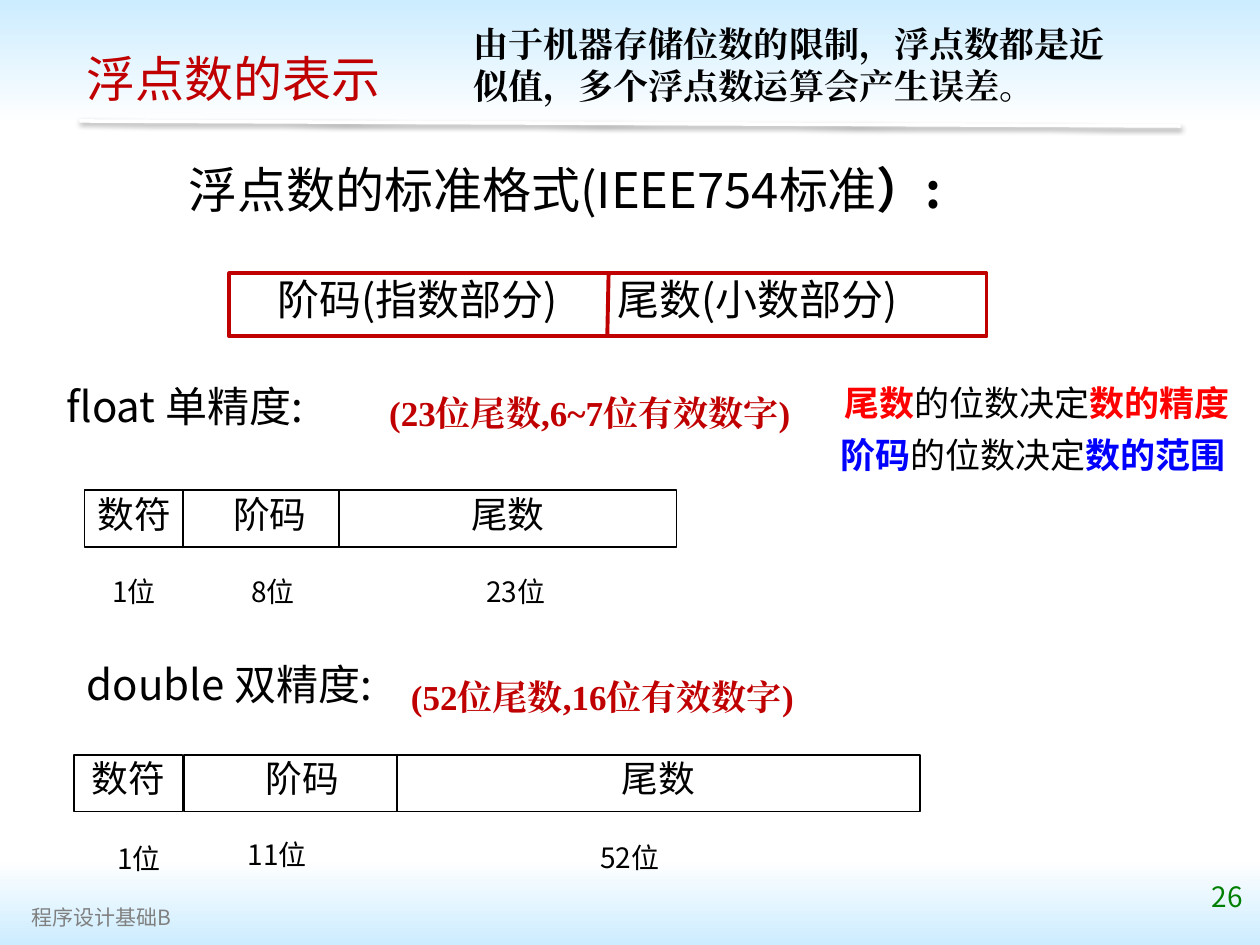
"""Build the slide on the floating-point storage formats."""
from dataclasses import dataclass

from lxml.etree import SubElement
from pptx import Presentation
from pptx.dml.color import RGBColor
from pptx.enum.shapes import MSO_CONNECTOR, MSO_SHAPE
from pptx.enum.text import MSO_ANCHOR, MSO_AUTO_SIZE, PP_ALIGN
from pptx.oxml.ns import qn
from pptx.util import Inches, Pt

SANS, SERIF = "Noto Sans CJK SC", "Times New Roman"
BLACK = RGBColor(0x00, 0x00, 0x00)
WHITE = RGBColor(0xFF, 0xFF, 0xFF)
SKY = RGBColor(0xCC, 0xEC, 0xFF)
CRIMSON = RGBColor(0xC0, 0x00, 0x00)
RED = RGBColor(0xFF, 0x00, 0x00)
BLUE = RGBColor(0x00, 0x00, 0xFF)
GREEN = RGBColor(0x00, 0x80, 0x00)
GRAY = RGBColor(0x80, 0x80, 0x80)


@dataclass
class Style:
    size: float
    color: RGBColor = BLACK
    font: str = SANS
    bold: bool = False
    align: PP_ALIGN = PP_ALIGN.CENTER


@dataclass
class Caption:
    text: str
    box: tuple[float, float, float, float]
    style: Style


@dataclass
class Field:
    name: str
    left: float
    width: float
    bits: str
    bits_box: tuple[float, float, float, float]
    shift: float = 0


def style_run(run, style: Style) -> None:
    """Apply a style to one run, East Asian typeface included."""
    run.font.size = Pt(style.size)
    run.font.bold = style.bold
    run.font.color.rgb = style.color
    run.font.name = style.font
    SubElement(run.font._element, qn("a:ea"), typeface=style.font)


def style_paragraph(paragraph, style: Style) -> None:
    """Apply alignment, line spacing and run formatting."""
    paragraph.alignment = style.align
    if style.font == SANS:
        paragraph.line_spacing = 0.9
    for run in paragraph.runs:
        style_run(run, style)


def set_text(shape, text: str, style: Style) -> None:
    """Fill a shape with one styled paragraph from its top edge."""
    frame = shape.text_frame
    frame.word_wrap = True
    frame.auto_size = MSO_AUTO_SIZE.NONE
    frame.vertical_anchor = MSO_ANCHOR.TOP
    frame.text = text
    style_paragraph(frame.paragraphs[0], style)


def add_caption(shapes, caption: Caption):
    """Add a text box holding a caption."""
    textbox = shapes.add_textbox(*map(Inches, caption.box))
    set_text(textbox, caption.text, caption.style)
    return textbox


def add_rectangle(shapes, box: tuple[float, float, float, float]):
    """Add a rectangle without shadow."""
    rectangle = shapes.add_shape(MSO_SHAPE.RECTANGLE, *map(Inches, box))
    rectangle.shadow.inherit = False
    return rectangle


def add_band(shapes, top: float, height: float, colors: tuple) -> None:
    """Add a full-width band fading from top to bottom."""
    band = add_rectangle(shapes, (0, top, 10, height))
    band.line.fill.background()
    band.fill.gradient()
    band.fill.gradient_angle = 270
    for stop, color, position in zip(band.fill.gradient_stops, colors, (0, 1)):
        stop.color.rgb = color
        stop.position = position


def add_line(shapes, start: tuple, end: tuple, color: RGBColor, width: float):
    """Add a straight line and return its empty effect list."""
    line = shapes.add_connector(MSO_CONNECTOR.STRAIGHT, *map(Inches, start + end))
    line.line.color.rgb = color
    line.line.width = Pt(width)
    return SubElement(line.element.spPr, qn("a:effectLst"))


def add_layout(shapes, top: float, fields: list[Field]) -> None:
    """Draw the fields of a number format with their bit counts."""
    for field in fields:
        cell = add_rectangle(shapes, (field.left, top, field.width, 0.45))
        cell.fill.solid()
        cell.fill.fore_color.rgb = WHITE
        cell.line.color.rgb = BLACK
        cell.line.width = Pt(1)
        set_text(cell, field.name, Style(21))
        cell.text_frame.margin_left = Inches(0.1 + field.shift)
        add_caption(shapes, Caption(field.bits, field.bits_box, Style(16)))


def add_format_box(shapes) -> None:
    """Draw the exponent and mantissa box with its divider."""
    format_box = add_rectangle(shapes, (1.82, 2.17, 6.01, 0.5))
    format_box.fill.background()
    format_box.line.color.rgb = CRIMSON
    format_box.line.width = Pt(2.25)
    set_text(format_box, "阶码(指数部分)\t尾数(小数部分)", Style(24, align=PP_ALIGN.LEFT))
    format_box.text_frame.margin_left = Inches(0.38)
    properties = format_box.text_frame.paragraphs[0]._p.get_or_add_pPr()
    tabs = SubElement(properties, qn("a:tabLst"))
    SubElement(tabs, qn("a:tab"), pos=str(Inches(2.7)), algn="l")
    add_line(shapes, (4.83, 2.18), (4.82, 2.67), CRIMSON, 2.25)


def add_rules(shapes) -> None:
    """Add the two statements on precision and range."""
    frame = shapes.add_textbox(*map(Inches, (6.46, 3.02, 3.54, 0.95))).text_frame
    frame.word_wrap = True
    rules = [("尾数", "数的精度", RED), ("阶码", "数的范围 ", BLUE)]
    for index, (part, effect, color) in enumerate(rules):
        paragraph = frame.add_paragraph() if index else frame.paragraphs[0]
        if index:
            paragraph.space_before = Pt(8)
        style_paragraph(paragraph, Style(20))
        strong = Style(20, color, bold=True)
        for text, style in ((part, strong), ("的位数决定", Style(20)), (effect, strong)):
            run = paragraph.add_run()
            run.text = text
            style_run(run, style)


def main() -> None:
    """Assemble and save the slide."""
    presentation = Presentation()
    presentation.slide_width, presentation.slide_height = Inches(10), Inches(7.5)
    slide = presentation.slides.add_slide(presentation.slide_layouts[5])
    shapes = slide.shapes

    add_band(shapes, 0, 0.99, (SKY, WHITE))
    add_band(shapes, 6.82, 0.68, (WHITE, SKY))
    effects = add_line(shapes, (0.63, 0.96), (9.37, 1), WHITE, 2)
    shadow = SubElement(effects, qn("a:outerShdw"), blurRad=str(Pt(3.1)),
                        dist=str(Pt(1.6)), dir="5400000", rotWithShape="0")
    shade = SubElement(shadow, qn("a:srgbClr"), val=str(BLACK))
    SubElement(shade, qn("a:alpha"), val="38000")

    title = shapes.title
    title.left, title.top, title.width, title.height = map(Inches, (0.59, 0.39, 8.9, 0.63))
    set_text(title, "浮点数的表示", Style(28, CRIMSON, align=PP_ALIGN.LEFT))
    shapes.element.append(title.element)

    section = Style(24, align=PP_ALIGN.LEFT)
    digits = Style(20, CRIMSON, SERIF, True)
    note = Style(20, BLACK, SERIF, True, PP_ALIGN.LEFT)
    for caption in (
        Caption("程序设计基础B", (0.15, 7.15, 1.63, 0.24), Style(12, GRAY, align=PP_ALIGN.LEFT)),
        Caption("26", (9.09, 6.96, 0.87, 0.47), Style(16, GREEN, align=PP_ALIGN.RIGHT)),
        Caption("float 单精度:", (0.43, 3.02, 2.4, 0.63), section),
        Caption("(23位尾数,6~7位有效数字)", (2.79, 3.06, 3.78, 0.44), digits),
        Caption("double 双精度:", (0.59, 5.22, 2.76, 0.63), section),
        Caption("(52位尾数,16位有效数字)", (2.89, 5.31, 3.78, 0.44), digits),
        Caption("由于机器存储位数的限制，浮点数都是近似值，多个浮点数运算会产生误差。",
                (3.66, 0.13, 5.35, 0.77), note),
    ):
        add_caption(shapes, caption)

    heading = add_caption(shapes, Caption("浮点数的标准格式(IEEE754标准", (0.79, 1.27, 7.48, 0.57), Style(28)))
    colon = heading.text_frame.paragraphs[0].add_run()
    colon.text = "）: "
    style_run(colon, Style(28, bold=True))

    add_format_box(shapes)
    add_rules(shapes)
    add_layout(shapes, 3.89, [
        Field("数符", 0.67, 0.79, "1位", (0.75, 4.54, 0.63, 0.37)),
        Field("阶码", 1.45, 1.25, "8位", (1.85, 4.54, 0.63, 0.37), 0.13),
        Field("尾数", 2.69, 2.68, "23位", (3.66, 4.54, 0.87, 0.37)),
    ])
    add_layout(shapes, 5.99, [
        Field("数符", 0.59, 0.86, "1位", (0.76, 6.66, 0.69, 0.37)),
        Field("阶码", 1.46, 1.7, "11位", (1.83, 6.63, 0.74, 0.37), 0.18),
        Field("尾数", 3.15, 4.15, "52位", (4.58, 6.65, 0.84, 0.37)),
    ])
    presentation.save("out.pptx")


if __name__ == "__main__":
    main()
